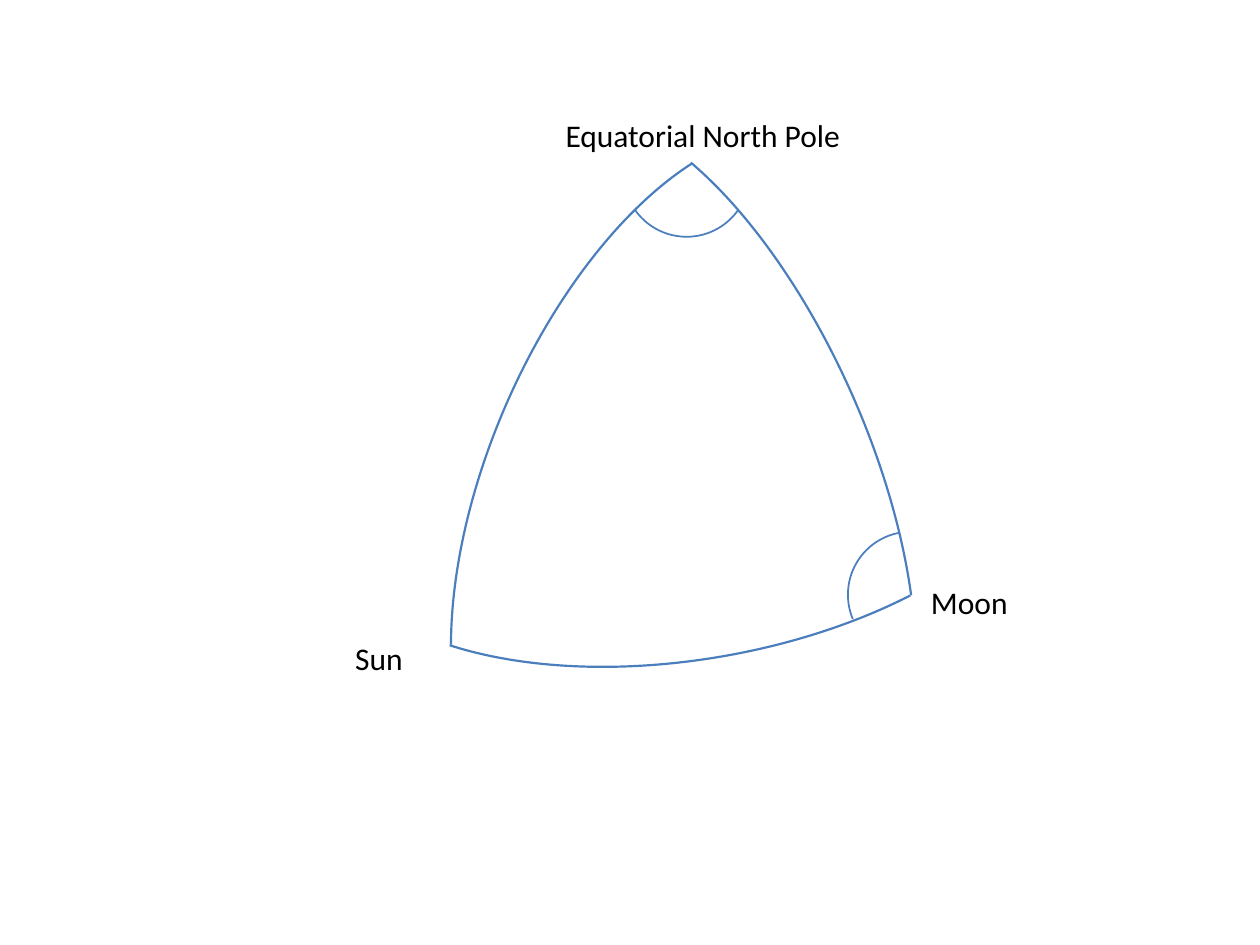
from pptx import Presentation
from pptx.dml.color import RGBColor
from pptx.enum.shapes import MSO_SHAPE
from pptx.enum.text import MSO_AUTO_SIZE
from pptx.util import Inches, Pt

ARC = MSO_SHAPE.ARC
FIT_SHAPE = MSO_AUTO_SIZE.SHAPE_TO_FIT_TEXT
COLORS = {"line": "4B7EBC", "text": "000000"}
FONT = "Calibri"
ADJUSTMENT_PER_DEGREE = 0.6  # 60000 angle units over a scale of 100000

# Positions are relative to the triangle's box
# left, top, width, height, rotation, flipped, start angle, end angle
SIDES = [
    (1.63, 0, 2.52, 5.88, 336.1, False, 290.81, 57.68),     # pole to Moon
    (1.17, 0.17, 2.96, 5.88, 23.4, True, 290.64, 59.52),    # pole to Sun
    (1.29, 0.11, 2.96, 5.88, 260.1, True, 295.62, 50.71),   # Sun to Moon
]
# left, top, start angle, end angle
ANGLE_MARKS = [
    (4.01, 3.52, 157.29, 258.87),   # at the Moon
    (2.23, 0.18, 35.51, 145.01),    # at the pole
]
MARK_SIZE = 1
# text, left, top, width
LABELS = [
    ("Equatorial North Pole", 1.67, 0.17, 2.4),
    ("Moon", 4.57, 3.88, 0.82),
    ("Sun", 0, 4.32, 0.58),
]
LABEL_HEIGHT = 0.4


def add_arc(page, left, top, width, height, start, end, weight,
            rotation=0, flipped=False):
    arc = page.shapes.add_shape(
        ARC, Inches(left), Inches(top), Inches(width), Inches(height))
    arc.adjustments[0] = start * ADJUSTMENT_PER_DEGREE
    arc.adjustments[1] = end * ADJUSTMENT_PER_DEGREE
    arc.rotation = rotation
    if flipped:
        arc.element.spPr.xfrm.set("flipH", "1")
    arc.shadow.inherit = False
    arc.fill.background()
    arc.line.color.rgb = RGBColor.from_string(COLORS["line"])
    arc.line.width = Pt(weight)


def add_label(page, text, left, top, width):
    box = page.shapes.add_textbox(
        Inches(left), Inches(top), Inches(width), Inches(LABEL_HEIGHT))
    frame = box.text_frame
    frame.word_wrap = False
    frame.auto_size = FIT_SHAPE
    span = frame.paragraphs[0].add_run()
    span.text = text
    span.font.name = FONT
    span.font.size = Pt(18)
    span.font.color.rgb = RGBColor.from_string(COLORS["text"])


def add_spherical_triangle(page, left, top):
    # Curved sides
    for x, y, width, height, rotation, flipped, start, end in SIDES:
        add_arc(page, left + x, top + y, width, height, start, end, 1.25,
                rotation, flipped)
    # Angle marks
    for x, y, start, end in ANGLE_MARKS:
        add_arc(page, left + x, top + y, MARK_SIZE, MARK_SIZE, start, end, 1)
    # Corner labels
    for text, x, y, width in LABELS:
        add_label(page, text, left + x, top + y, width)


def main():
    deck = Presentation()
    deck.slide_width = Inches(10)
    deck.slide_height = Inches(7.5)
    page = deck.slides.add_slide(deck.slide_layouts[6])
    add_spherical_triangle(page, 2.72, 0.7)
    deck.save("out.pptx")


if __name__ == "__main__":
    main()
